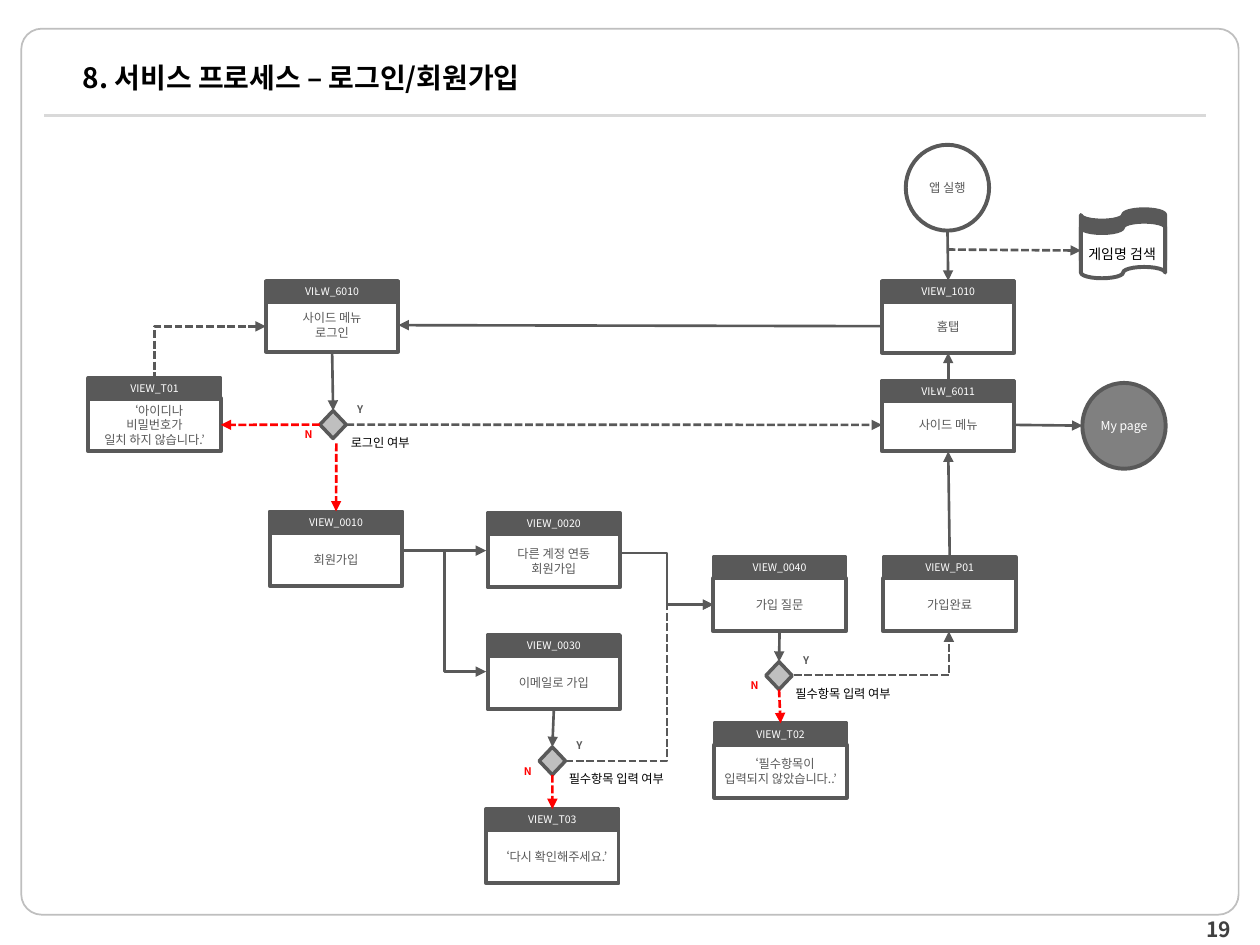
from lxml import etree
from pptx import Presentation
from pptx.dml.color import RGBColor
from pptx.enum.dml import MSO_LINE
from pptx.enum.shapes import MSO_CONNECTOR, MSO_SHAPE
from pptx.enum.text import MSO_ANCHOR, MSO_AUTO_SIZE, PP_ALIGN
from pptx.oxml.ns import qn
from pptx.util import Cm, Pt

FONT = "Noto Sans CJK KR"
BLACK = RGBColor(0x00, 0x00, 0x00)
WHITE = RGBColor(0xFF, 0xFF, 0xFF)
INK = RGBColor(0x40, 0x40, 0x40)
DARK = RGBColor(0x59, 0x59, 0x59)
MID = RGBColor(0x80, 0x80, 0x80)
SILVER = RGBColor(0xBF, 0xBF, 0xBF)
PALE = RGBColor(0xD9, 0xD9, 0xD9)
RED = RGBColor(0xFF, 0x00, 0x00)

STRAIGHT, ELBOW = MSO_CONNECTOR.STRAIGHT, MSO_CONNECTOR.ELBOW
LEFT, CENTER, RIGHT = PP_ALIGN.LEFT, PP_ALIGN.CENTER, PP_ALIGN.RIGHT
MIDDLE, ANCHOR_TOP = MSO_ANCHOR.MIDDLE, MSO_ANCHOR.TOP
RECT, OVAL = MSO_SHAPE.RECTANGLE, MSO_SHAPE.OVAL
DIAMOND, TAPE = MSO_SHAPE.FLOWCHART_DECISION, MSO_SHAPE.FLOWCHART_PUNCHED_TAPE

# Connection sites of rectangles and diamonds
TOP_SIDE, LEFT_SIDE, BOTTOM_SIDE, RIGHT_SIDE = range(4)

NODE_W, HEADER_H, BODY_H = 2.67, 0.43, 1.07
DIAMOND_W, DIAMOND_H = 0.53, 0.56
CIRCLE_W, CIRCLE_H = 1.68, 1.73


def set_text(sp, text, size, color, bold=False, align=CENTER, anchor=MIDDLE,
             margins=(0.2, 0.1), wrap=True):
    tf = sp.text_frame
    tf.text = text
    tf.word_wrap = wrap
    tf.vertical_anchor = anchor
    tf.margin_left = tf.margin_right = Cm(margins[0])
    tf.margin_top = tf.margin_bottom = Cm(margins[1])
    for p in tf.paragraphs:
        p.alignment = align
        p.font.name = FONT
        p.font.size = Pt(size)
        p.font.bold = bold
        p.font.color.rgb = color
        def_rpr = p._p.pPr.find(qn("a:defRPr"))
        etree.SubElement(def_rpr, qn("a:ea"), typeface=FONT)


def add_shape(slide, kind, x, y, w, h, fill, line, width):
    sp = slide.shapes.add_shape(kind, Cm(x), Cm(y), Cm(w), Cm(h))
    sp.shadow.inherit = False
    if fill is None:
        sp.fill.background()
    else:
        sp.fill.solid()
        sp.fill.fore_color.rgb = fill
    sp.line.color.rgb = line
    sp.line.width = Pt(width)
    return sp


def add_label(slide, x, y, w, h, text, size, color, **style):
    sp = slide.shapes.add_textbox(Cm(x), Cm(y), Cm(w), Cm(h))
    style = {"margins": (0.25, 0.13), "anchor": ANCHOR_TOP, "wrap": False} | style
    set_text(sp, text, size, color, **style)
    return sp


def add_line(slide, start, end, color=DARK, dashed=False, arrow="tailEnd",
             kind=STRAIGHT, preset=None, bend=None):
    """Each end is a (shape, site) pair or an (x, y) point in cm."""
    joined = [not isinstance(point[0], (int, float)) for point in (start, end)]
    (x1, y1), (x2, y2) = [(0, 0) if j else point
                          for j, point in zip(joined, (start, end))]
    c = slide.shapes.add_connector(kind, Cm(x1), Cm(y1), Cm(x2), Cm(y2))
    if joined[0]:
        c.begin_connect(*start)
    if joined[1]:
        c.end_connect(*end)
    c.line.color.rgb = color
    c.line.width = Pt(1.5)
    if dashed:
        c.line.dash_style = MSO_LINE.SQUARE_DOT
    sp_pr = c._element.spPr
    if arrow:
        etree.SubElement(sp_pr.find(qn("a:ln")), qn(f"a:{arrow}"), type="triangle")
    etree.SubElement(sp_pr, qn("a:effectLst"))
    geom = sp_pr.find(qn("a:prstGeom"))
    if preset:
        geom.set("prst", preset)
    if bend:
        etree.SubElement(geom.find(qn("a:avLst")), qn("a:gd"),
                         name="adj1", fmla=f"val {bend}")


def add_frame(slide, x, y, w, h):
    frame = add_shape(slide, MSO_SHAPE.ROUNDED_RECTANGLE, x, y, w, h, None, SILVER, 1)
    frame.adjustments[0] = 0.023
    add_line(slide, (x + 0.46, y + 1.75), (x + w - 0.66, y + 1.75), PALE, arrow=None)
    add_label(slide, x + w - 5.82, y + h + 0.08, 5.92, 0.41, "19", 12, INK,
              bold=True, align=RIGHT, anchor=MIDDLE, wrap=True)


def add_title(slide, x, y, w, h, text):
    title = slide.shapes.title
    title.left, title.top, title.width, title.height = Cm(x), Cm(y), Cm(w), Cm(h)
    set_text(title, text, 16, BLACK, bold=True, align=LEFT, margins=(0.25, 0.13))
    title.text_frame.auto_size = MSO_AUTO_SIZE.NONE


def add_node(slide, x, y, code, text, body_offset=HEADER_H):
    body = add_shape(slide, RECT, x, y + body_offset, NODE_W, BODY_H, WHITE, DARK, 2.25)
    set_text(body, text, 7, DARK)
    header = add_shape(slide, RECT, x, y, NODE_W, HEADER_H, DARK, DARK, 2)
    set_text(header, code, 6, WHITE)
    return header, body


def add_circle(slide, x, y, text, fill, color):
    sp = add_shape(slide, OVAL, x, y, CIRCLE_W, CIRCLE_H, fill, DARK, 2.25)
    set_text(sp, text, 7, color, wrap=False)


def add_decision(slide, x, y, question, question_w):
    add_label(slide, x + 0.35, y + 0.39, question_w, 0.48, question, 7, BLACK,
              margins=(0.2, 0.1))
    sp = add_shape(slide, DIAMOND, x, y, DIAMOND_W, DIAMOND_H, SILVER, DARK, 2)
    add_label(slide, x - 0.56, y + 0.23, 0.66, 0.51, "N", 6, RED, bold=True)
    add_label(slide, x + 0.49, y - 0.29, 0.64, 0.51, "Y", 6, DARK, bold=True)
    return sp


def add_banner(slide, x, y, w, h, text):
    for dy, fill in ((0, DARK), (0.25, WHITE)):
        add_shape(slide, TAPE, x, y + dy, w, h, fill, DARK, 2.25)
    add_label(slide, x - 0.18, y + 0.61, w + 0.33, 0.61, text, 8, BLACK)


def add_flow(slide):
    # Screens and message boxes: (header, body)
    home, home_body = add_node(slide, 17.78, 5.66, "VIEW_1010", "홈탭", 0.38)
    _, login_body = add_node(slide, 5.36, 5.66, "VIEW_6010", "사이드 메뉴\v로그인", 0.36)
    join, _ = add_node(slide, 5.44, 10.31, "VIEW_0010", "회원가입")
    add_node(slide, 9.83, 10.34, "VIEW_0020", "다른 계정 연동\n회원가입")
    _, email_body = add_node(slide, 9.83, 12.8, "VIEW_0030", "이메일로 가입")
    _, survey_body = add_node(slide, 14.38, 11.23, "VIEW_0040", "가입 질문")
    done, _ = add_node(slide, 17.81, 11.23, "VIEW_P01", "가입완료")
    _, mismatch_body = add_node(slide, 1.78, 7.62, "VIEW_T01",
                                "‘아이디나 비밀번호가\v일치 하지 않습니다.’", 0.41)
    menu, menu_body = add_node(slide, 17.78, 7.67, "VIEW_6011", "사이드 메뉴", 0.36)
    retry, _ = add_node(slide, 9.8, 16.31, "VIEW_T03", "‘다시 확인해주세요.’")
    missing, _ = add_node(slide, 14.4, 14.58, "VIEW_T02",
                          "‘필수항목이\v입력되지 않았습니다..’")

    # Start, my page and search
    add_circle(slide, 18.26, 2.92, "앱 실행", WHITE, DARK)
    add_circle(slide, 21.82, 7.72, "My page", MID, WHITE)
    add_banner(slide, 21.79, 4.22, 1.7, 1.14, "게임명 검색")

    # Decisions
    login_check = add_decision(slide, 6.45, 8.28, "로그인 여부", 1.73)
    email_check = add_decision(slide, 10.87, 15.06, "필수항목 입력 여부", 2.41)
    survey_check = add_decision(slide, 15.44, 13.34, "필수항목 입력 여부", 2.41)

    # Solid arrows
    for begin, end in (
        ((19.1, 4.65), (home, TOP_SIDE)),
        ((home_body, LEFT_SIDE), (login_body, RIGHT_SIDE)),
        ((login_body, BOTTOM_SIDE), (login_check, TOP_SIDE)),
        ((menu, TOP_SIDE), (home_body, BOTTOM_SIDE)),
        ((menu_body, RIGHT_SIDE), (21.82, 8.58)),
        ((done, TOP_SIDE), (menu_body, BOTTOM_SIDE)),
        ((email_body, BOTTOM_SIDE), (email_check, TOP_SIDE)),
        ((survey_body, BOTTOM_SIDE), (survey_check, TOP_SIDE)),
        ((8.13, 11.1), (9.8, 11.1)),
        ((6.43, 5.84), (6.43, 5.92)),
        ((18.85, 7.85), (18.85, 7.92)),
    ):
        add_line(slide, begin, end)

    # "No" arrows
    for begin, end in (
        ((login_check, LEFT_SIDE), (mismatch_body, RIGHT_SIDE)),
        ((6.78, 8.94), (join, TOP_SIDE)),
        ((email_check, BOTTOM_SIDE), (retry, TOP_SIDE)),
        ((survey_check, BOTTOM_SIDE), (missing, TOP_SIDE)),
    ):
        add_line(slide, begin, end, RED, dashed=True)

    # Dashed and bent arrows
    add_line(slide, (login_check, RIGHT_SIDE), (menu_body, LEFT_SIDE), dashed=True)
    add_line(slide, (19.1, 5.03), (21.79, 5.05), dashed=True)
    add_line(slide, (8.13, 11.1), (9.8, 13.54), kind=ELBOW)
    add_line(slide, (12.52, 11.15), (14.38, 12.19), kind=ELBOW)
    add_line(slide, (11.4, 15.34), (14.38, 12.19), dashed=True, kind=ELBOW, bend=68700)
    add_line(slide, (16, 13.61), (19.13, 12.73), dashed=True, kind=ELBOW,
             preset="bentConnector2")
    add_line(slide, (5.36, 6.58), (3.12, 7.62), dashed=True, arrow="headEnd",
             kind=ELBOW, preset="bentConnector2")


def main():
    prs = Presentation()
    prs.slide_width, prs.slide_height = Cm(25.4), Cm(19.05)
    slide = prs.slides.add_slide(prs.slide_layouts[5])
    add_frame(slide, 0.43, 0.58, 24.54, 17.86)
    add_title(slide, 1.42, 0.46, 22.53, 2.18, "8. 서비스 프로세스 – 로그인/회원가입")
    add_flow(slide)
    prs.save("out.pptx")


if __name__ == "__main__":
    main()
